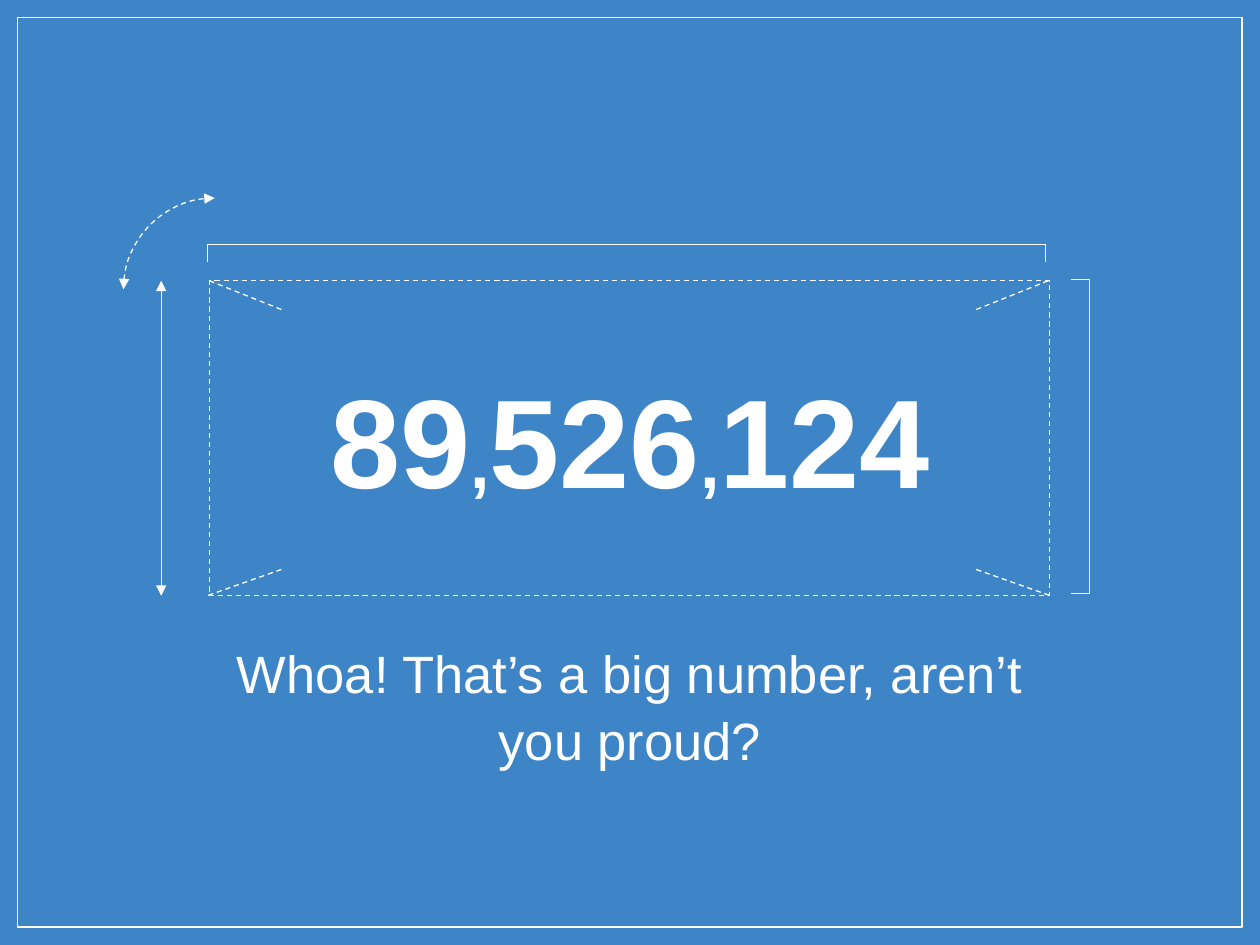
from lxml.etree import SubElement
from pptx import Presentation
from pptx.dml.color import RGBColor
from pptx.enum.dml import MSO_LINE
from pptx.enum.shapes import MSO_CONNECTOR, MSO_SHAPE
from pptx.enum.text import MSO_ANCHOR, MSO_AUTO_SIZE, PP_ALIGN
from pptx.oxml.ns import qn
from pptx.util import Cm, Pt

BLUE = RGBColor(0x3D, 0x85, 0xC6)
WHITE = RGBColor(0xFF, 0xFF, 0xFF)
FONT = "Arial"


def style(item, dash=False, heads=False):
    line = item.line
    line.color.rgb = WHITE
    line.width = Pt(0.75)
    if dash:
        line.dash_style = MSO_LINE.DASH
    if heads:
        for end in ("a:headEnd", "a:tailEnd"):
            SubElement(line._get_or_add_ln(), qn(end), type="triangle")


def add_shape(slide, kind, x, y, w, h, turn=0, **look):
    shape = slide.shapes.add_shape(kind, Cm(x), Cm(y), Cm(w), Cm(h))
    shape.shadow.inherit = False
    shape.fill.background()
    shape.rotation = turn
    style(shape, **look)


def add_line(slide, x1, y1, x2, y2, **look):
    line = slide.shapes.add_connector(
        MSO_CONNECTOR.STRAIGHT, Cm(x1), Cm(y1), Cm(x2), Cm(y2))
    SubElement(line._element.spPr, qn("a:effectLst"))
    style(line, **look)


def add_path(slide, points):
    first, *rest = [(Cm(x), Cm(y)) for x, y in points]
    pen = slide.shapes.build_freeform(*first)
    pen.add_line_segments(rest, close=False)
    shape = pen.convert_to_shape()
    shape.shadow.inherit = False
    shape.fill.background()
    style(shape)


def set_text(shape, runs, place, bold=False, space=1.0, anchor=MSO_ANCHOR.TOP):
    shape.left, shape.top, shape.width, shape.height = map(Cm, place)
    frame = shape.text_frame
    frame.word_wrap = True
    frame.auto_size = MSO_AUTO_SIZE.NONE
    frame.vertical_anchor = anchor
    frame.margin_left = frame.margin_right = Cm(0.25)
    frame.margin_top = frame.margin_bottom = Cm(0.25)
    para = frame.paragraphs[0]
    para.alignment = PP_ALIGN.CENTER
    para.line_spacing = space
    for text, size in runs:
        run = para.add_run()
        run.text = text
        run.font.name = FONT
        run.font.size = Pt(size)
        run.font.bold = bold
        run.font.color.rgb = WHITE


def draw_plan(slide):
    add_shape(slide, MSO_SHAPE.RECTANGLE, 4.22, 5.66, 16.94, 6.35, dash=True)
    add_path(slide, [(21.59, 5.64), (21.97, 5.64), (21.97, 11.96), (21.59, 11.96)])
    add_path(slide, [(4.19, 5.28), (4.19, 4.93), (21.08, 4.93), (21.08, 5.28)])
    add_shape(slide, MSO_SHAPE.ARC, 2.49, 3.99, 3.68, 3.68,
              turn=270, dash=True, heads=True)
    add_line(slide, 3.25, 5.66, 3.25, 12.01, heads=True)
    for x, dx in ((4.17, 1.5), (21.18, -1.5)):
        for y, dy in ((5.64, 0.6), (12.01, -0.53)):
            add_line(slide, x + dx, y + dy, x, y, dash=True)


def main():
    deck = Presentation()
    deck.slide_width, deck.slide_height = Cm(25.4), Cm(19.05)
    slide = deck.slides.add_slide(deck.slide_layouts[5])
    slide.background.fill.solid()
    slide.background.fill.fore_color.rgb = BLUE
    add_shape(slide, MSO_SHAPE.RECTANGLE, 0.36, 0.36, 24.68, 18.33)
    draw_plan(slide)
    note = slide.shapes.add_textbox(0, 0, 0, 0)
    set_text(note, [("Whoa! That’s a big number, aren’t you proud?", 30)],
             (3.91, 12.62, 17.58, 2.9), space=1.05)
    set_text(slide.shapes.title,
             [("89", 72), (",", 40), ("526", 72), (",", 40), ("124", 72)],
             (1.9, 6.91, 21.6, 4.29), bold=True, space=0.87,
             anchor=MSO_ANCHOR.MIDDLE)
    deck.save("out.pptx")


if __name__ == "__main__":
    main()
